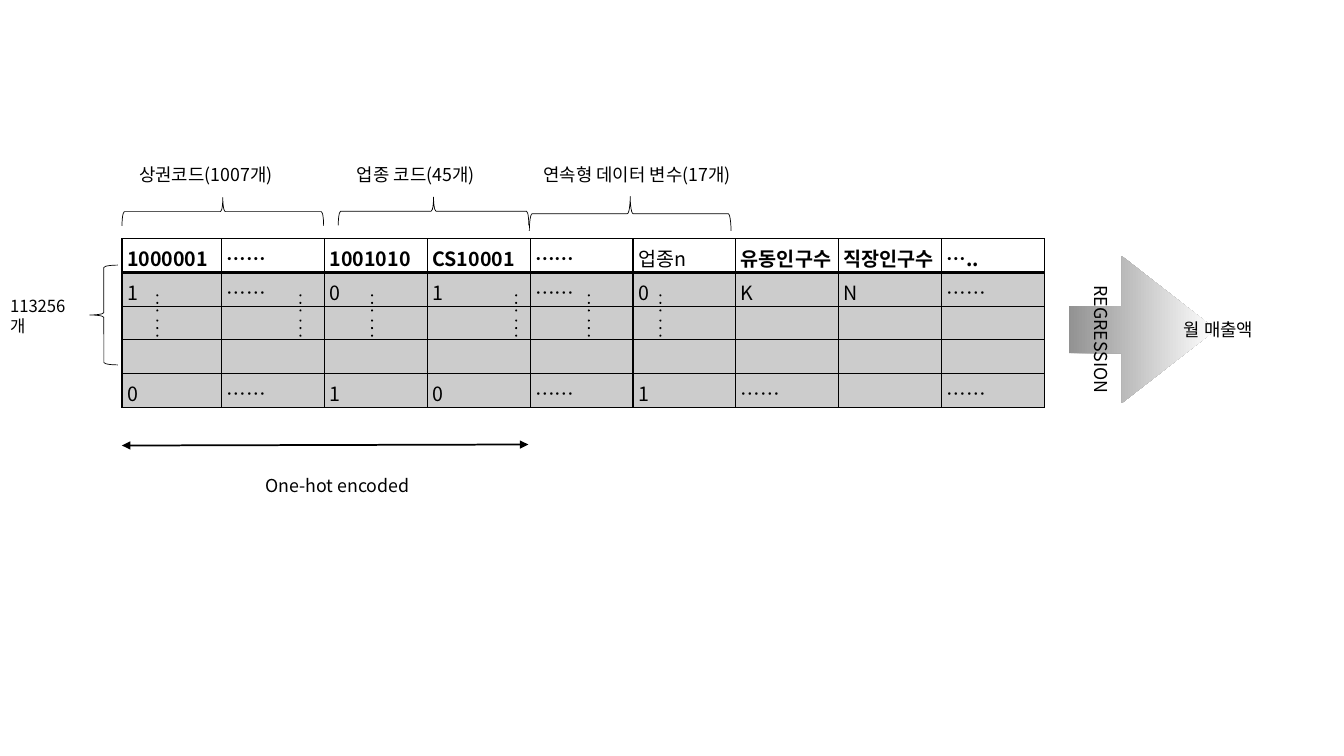
from dataclasses import dataclass
from itertools import product

from lxml.etree import SubElement
from pptx import Presentation
from pptx.dml.color import RGBColor as Rgb
from pptx.enum.shapes import MSO_CONNECTOR as Link, MSO_SHAPE as Kind
from pptx.enum.text import MSO_ANCHOR as Anchor
from pptx.oxml.ns import qn
from pptx.util import Inches, Pt


@dataclass(frozen=True)
class Theme:
    ink: str = "000000"
    grey: str = "929292"
    paper: str = "FFFFFF"
    font: str = "Noto Sans CJK KR"
    cell: float = 14
    label: float = 12.7
    count: float = 11.9
    thin: float = 0.5
    rule: float = 1
    head: float = 2
    arrow: float = 1.25
    alpha: int = 20


@dataclass(frozen=True)
class Box:
    left: float
    top: float
    width: float
    height: float

    def place(self) -> tuple:
        return tuple(Inches(v) for v in (self.left, self.top, self.width, self.height))


@dataclass(frozen=True)
class Label:
    text: str
    box: Box
    size: float
    wrap: bool = True
    anchor: Anchor = Anchor.TOP
    vert: str = "horz"


@dataclass(frozen=True)
class Brace:
    box: Box
    turn: int = 90


THEME = Theme()
INK = Rgb.from_string(THEME.ink)

LABELS = [
    Label("상권코드(1007개)", Box(1.34, 1.58, 1.87, 0.28), THEME.label),
    Label("업종 코드(45개)", Box(3.5, 1.58, 1.87, 0.28), THEME.label),
    Label("연속형 데이터 변수(17개)", Box(5.35, 1.58, 2.48, 0.28), THEME.label),
    Label("One-hot encoded", Box(2.59, 4.67, 1.52, 0.29), THEME.label, False, Anchor.MIDDLE),
    Label("113256개", Box(0.06, 2.99, 0.76, 0.28), THEME.count, True, Anchor.MIDDLE),
    Label("월 매출액", Box(11.7, 3.12, 0.85, 0.29), THEME.label, False, Anchor.MIDDLE),
    Label("REGRESSION", Box(10.78, 2.79, 0.29, 1.11), THEME.label, False, Anchor.MIDDLE, "eaVert"),
]
BRACES = [
    Brace(Box(2.07, 1.1, 0.28, 2)),
    Brace(Box(4.16, 1.15, 0.28, 1.89)),
    Brace(Box(6.08, 1.12, 0.34, 2)),
    Brace(Box(0.89, 2.63, 0.28, 0.99), 0),
]
ROWS = [
    ["1000001", "……", "1001010", "CS10001", "……", "업종n", "유동인구수", "직장인구수", "….."],
    ["1", "……", "0", "1", "……", "0", "K", "N", "……"],
    [""] * 9,
    [""] * 9,
    ["0", "……", "1", "0", "……", "1", "……", "", "……"],
]
PLAIN = "업종n"
GRID = Box(1.21, 2.37, 9.17, 1.65)
COLS = [0.99] + [1.02] * 8
DOT_X = [1.55, 2.97, 3.68, 5.11, 5.83, 6.54]
DOT_Y = [2.92 + 0.25 * part + 0.075 * step for part, step in product(range(2), range(3))]
DOT = 0.02


def style(para, size: float, bold: bool = False) -> None:
    font = para.font
    font.size, font.bold, font.name = Pt(size), bold, THEME.font
    font.color.rgb = INK
    base = para._p.pPr.find(qn("a:defRPr"))
    SubElement(base, qn("a:ea"), typeface=THEME.font)


def add_label(slide, label: Label) -> None:
    frame = slide.shapes.add_textbox(*label.box.place()).text_frame
    frame.margin_left = frame.margin_right = Inches(0.04)
    frame.margin_top = frame.margin_bottom = Inches(0.04)
    frame.word_wrap = label.wrap
    frame.vertical_anchor = label.anchor
    frame._txBody.bodyPr.set("vert", label.vert)
    frame.text = label.text
    style(frame.paragraphs[0], label.size)


def add_brace(slide, brace: Brace) -> None:
    shape = slide.shapes.add_shape(Kind.LEFT_BRACE, *brace.box.place())
    shape.rotation = brace.turn
    shape.shadow.inherit = False
    shape.fill.background()
    shape.line.color.rgb = INK
    shape.line.width = Pt(THEME.thin)


def add_dot(slide, left: float, top: float) -> None:
    dot = slide.shapes.add_shape(Kind.OVAL, *Box(left, top, DOT, DOT).place())
    dot.shadow.inherit = False
    dot.fill.solid()
    dot.fill.fore_color.rgb = INK
    dot.line.fill.background()


def add_edge(cell, side: str, width: float) -> None:
    line = SubElement(cell._tc.get_or_add_tcPr(), qn(f"a:ln{side}"), w=str(Pt(width)))
    fill = SubElement(line, qn("a:solidFill"))
    SubElement(fill, qn("a:srgbClr"), val=THEME.ink)


def fill_cell(cell, text: str, row: int) -> None:
    cell.margin_left = cell.margin_right = cell.margin_top = Inches(0.05)
    cell.margin_bottom = 0
    cell.text = text
    para = cell.text_frame.paragraphs[0]
    style(para, THEME.cell, row == 0 and text != PLAIN)
    if not text:
        SubElement(para._p, qn("a:endParaRPr"), sz=str(int(THEME.cell * 100)))
    for side in "LRTB":
        joint = (row, side) in ((0, "B"), (1, "T"))
        add_edge(cell, side, THEME.head if joint else THEME.rule)
    if row == 0:
        cell.fill.background()
        return
    cell.fill.solid()
    cell.fill.fore_color.rgb = INK
    tint = cell._tc.tcPr.find(f"{qn('a:solidFill')}/{qn('a:srgbClr')}")
    SubElement(tint, qn("a:alpha"), val=str(THEME.alpha * 1000))


def add_grid(slide) -> None:
    table = slide.shapes.add_table(len(ROWS), len(COLS), *GRID.place()).table
    table.first_row = table.horz_banding = False
    for col, width in zip(table.columns, COLS):
        col.width = Inches(width)
    for row, texts in enumerate(ROWS):
        for col, text in enumerate(texts):
            fill_cell(table.cell(row, col), text, row)


def add_arrow(slide) -> None:
    arrow = slide.shapes.add_shape(Kind.RIGHT_ARROW, *Box(10.6, 2.54, 1.46, 1.46).place())
    arrow.adjustments[0], arrow.adjustments[1] = 0.32, 0.64
    arrow.shadow.inherit = False
    arrow.line.fill.background()
    arrow.fill.gradient()
    arrow.fill.gradient_angle = 0
    for stop, tone in zip(arrow.fill.gradient_stops, (THEME.grey, THEME.paper)):
        stop.color.rgb = Rgb.from_string(tone)


def add_span(slide) -> None:
    """Draw the two-headed line under the one-hot columns."""
    ends = (Inches(v) for v in (1.21, 4.42, 5.24, 4.41))
    span = slide.shapes.add_connector(Link.STRAIGHT, *ends)
    span.line.color.rgb = INK
    span.line.width = Pt(THEME.arrow)
    for end in ("headEnd", "tailEnd"):
        SubElement(span.line._get_or_add_ln(), qn(f"a:{end}"), type="triangle")
    SubElement(span._element.spPr, qn("a:effectLst"))


def main() -> None:
    deck = Presentation()
    deck.slide_width, deck.slide_height = Inches(13.33), Inches(7.5)
    slide = deck.slides.add_slide(deck.slide_layouts[6])
    add_arrow(slide)
    add_grid(slide)
    for brace in BRACES:
        add_brace(slide, brace)
    add_span(slide)
    for left, top in product(DOT_X, DOT_Y):
        add_dot(slide, left, top)
    for label in LABELS:
        add_label(slide, label)
    deck.save("out.pptx")


if __name__ == "__main__":
    main()
